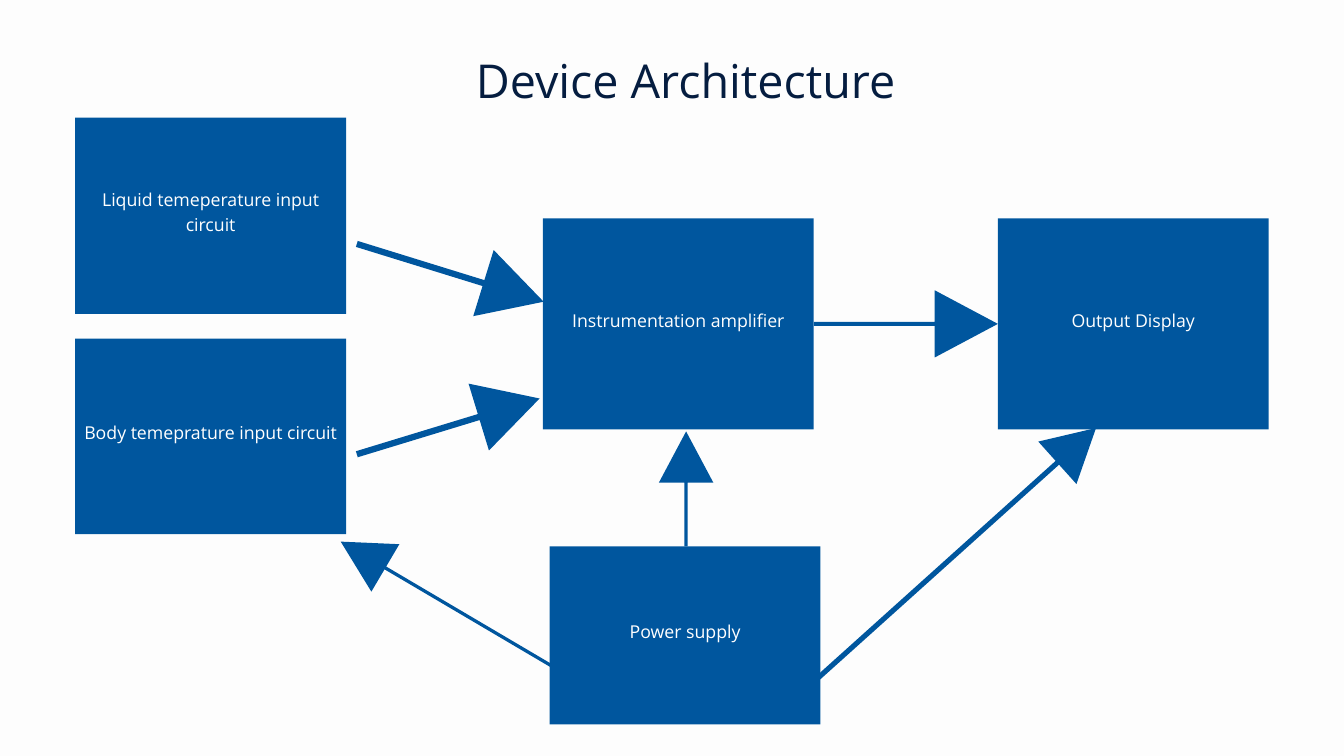
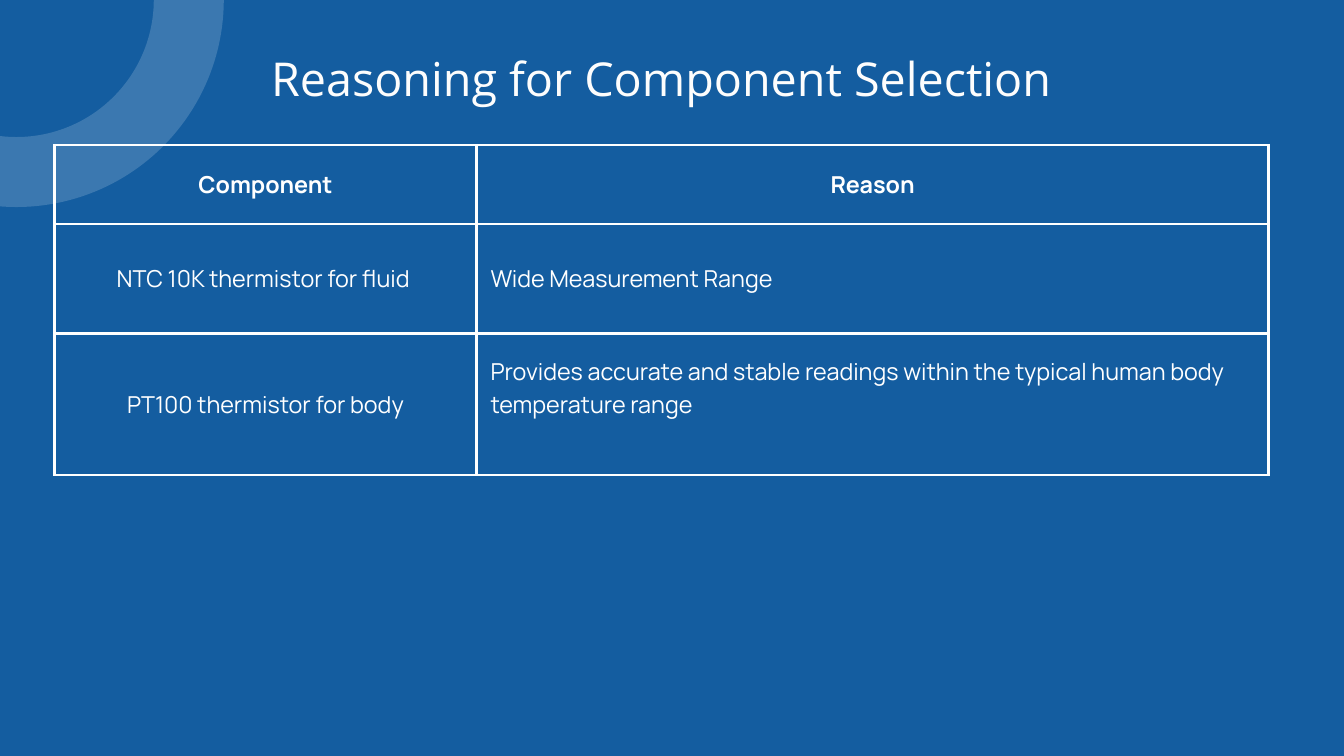
import math

from lxml import etree
from pptx import Presentation
from pptx.dml.color import RGBColor
from pptx.enum.shapes import MSO_SHAPE
from pptx.enum.text import MSO_ANCHOR, PP_ALIGN
from pptx.oxml.ns import qn
from pptx.util import Inches, Pt

CENTER, LEFT = PP_ALIGN.CENTER, PP_ALIGN.LEFT
MIDDLE = MSO_ANCHOR.MIDDLE
RECTANGLE, OVAL, RIGHT_ARROW = MSO_SHAPE.RECTANGLE, MSO_SHAPE.OVAL, MSO_SHAPE.RIGHT_ARROW

WHITE, PAPER, NAVY = "FFFFFF", "FDFDFD", "051D40"
BLOCK_BLUE, PAGE_BLUE = "00569E", "145DA0"

TITLE = {"name": "Open Sans", "size": Pt(50)}
BLOCK_LABEL = {"name": "Open Sans", "size": Pt(19)}
CELL = {"name": "Manrope", "size": Pt(25), "bold": False}
HEADER_CELL = {**CELL, "bold": True}

# Shaft thickness as a share of the arrow's height
THICK, THIN = 0.09, 0.06

BLOCK_WIDTH = 4.03
# Label, left, top, height
BLOCKS = [
    ("Liquid temeperature input circuit", 0, 0, 2.92),
    ("Body temeprature input circuit", 0, 3.29, 2.91),
    ("Instrumentation amplifier", 6.96, 1.5, 3.14),
    ("Output Display", 13.73, 1.5, 3.14),
    ("Power supply", 7.06, 6.38, 2.65),
]
# Tail, tip, height, shaft
ARROWS = [
    ((4.19, 1.88), (6.97, 2.74), 1.03, THICK),
    ((10.99, 3.07), (13.73, 3.07), 1, THIN),
    ((4.19, 5.01), (6.91, 4.18), 1.04, THICK),
    ((7.09, 8.16), (3.95, 6.31), 0.82, THIN),
    ((9.09, 6.38), (9.09, 4.67), 0.81, THIN),
    ((10.93, 8.45), (15.19, 4.62), 0.85, THICK),
]

COLUMN_WIDTHS = [6.28, 11.79]
ROW_HEIGHTS = [1.17, 1.63, 2.11]
COMPONENT_ROWS = [
    ("Component", "Reason"),
    ("NTC 10K thermistor for fluid ", "Wide Measurement Range"),
    ("PT100 thermistor for body",
     "Provides accurate and stable readings within the typical human body temperature range"),
]


def color(hex_string):
    return RGBColor.from_string(hex_string)


def set_attributes(target, values):
    for name, value in values.items():
        setattr(target, name, value)


def write_text(text_frame, text, font, font_color, spacing, alignment=CENTER):
    paragraph = text_frame.paragraphs[0]
    set_attributes(paragraph, {"alignment": alignment, "line_spacing": Pt(spacing)})
    run = paragraph.add_run()
    run.text = text
    set_attributes(run.font, font)
    run.font.color.rgb = color(font_color)


def set_margins(target, side, bottom):
    set_attributes(target, {
        "margin_left": Inches(side), "margin_right": Inches(side),
        "margin_top": Inches(side), "margin_bottom": Inches(bottom),
    })


def add_page(presentation, background):
    slide = presentation.slides.add_slide(presentation.slide_layouts[6])
    slide.background.fill.solid()
    slide.background.fill.fore_color.rgb = color(background)
    return slide


def add_title(slide, text, left, top, width, font_color):
    box = slide.shapes.add_textbox(Inches(left), Inches(top), Inches(width), Inches(0.94))
    box.text_frame.word_wrap = True
    set_margins(box.text_frame, 0, 0)
    write_text(box.text_frame, text, TITLE, font_color, 70)


def add_solid_shape(slide, kind, left, top, width, height):
    shape = slide.shapes.add_shape(
        kind, Inches(left), Inches(top), Inches(width), Inches(height))
    shape.shadow.inherit = False
    shape.fill.solid()
    shape.fill.fore_color.rgb = color(BLOCK_BLUE)
    shape.line.fill.background()
    return shape


def add_block(slide, label, left, top, height):
    block = add_solid_shape(slide, RECTANGLE, left, top, BLOCK_WIDTH, height)
    # The deeper bottom margin lifts the label slightly above the middle
    set_margins(block.text_frame, 0.06, 0.22)
    set_attributes(block.text_frame, {"word_wrap": True, "vertical_anchor": MIDDLE})
    write_text(block.text_frame, label, BLOCK_LABEL, WHITE, 26.6)


def add_block_arrow(slide, tail, tip, height, shaft):
    length = math.dist(tail, tip)
    center_x, center_y = [(start + end) / 2 for start, end in zip(tail, tip)]
    arrow = add_solid_shape(slide, RIGHT_ARROW, center_x - length / 2,
                            center_y - height / 2, length, height)
    arrow.rotation = math.degrees(math.atan2(tip[1] - tail[1], tip[0] - tail[0]))
    arrow.adjustments[0] = shaft
    arrow.adjustments[1] = 1 - shaft


def add_block_diagram(slide, left, top):
    for label, x, y, height in BLOCKS:
        add_block(slide, label, left + x, top + y, height)
    for tail, tip, height, shaft in ARROWS:
        start = (left + tail[0], top + tail[1])
        end = (left + tip[0], top + tip[1])
        add_block_arrow(slide, start, end, height, shaft)


def add_corner_ring(slide, left, top, diameter):
    ring = slide.shapes.add_shape(
        OVAL, Inches(left), Inches(top), Inches(diameter), Inches(diameter))
    ring.shadow.inherit = False
    ring.fill.background()
    ring.line.width = Pt(75)
    ring.line.color.rgb = color(WHITE)
    # 16 % opacity
    line_color = ring.line._ln.find(".//" + qn("a:srgbClr"))
    etree.SubElement(line_color, qn("a:alpha"), val="16000")


def add_cell_borders(cell, hex_string, points):
    properties = cell._tc.get_or_add_tcPr()
    for index, side in enumerate(("lnL", "lnR", "lnT", "lnB")):
        border = etree.Element(qn("a:" + side), w=str(Pt(points)))
        fill = etree.SubElement(border, qn("a:solidFill"))
        etree.SubElement(fill, qn("a:srgbClr"), val=hex_string)
        properties.insert(index, border)


def add_component_table(slide, left, top):
    frame = slide.shapes.add_table(
        len(ROW_HEIGHTS), len(COLUMN_WIDTHS), Inches(left), Inches(top),
        Inches(sum(COLUMN_WIDTHS)), Inches(sum(ROW_HEIGHTS)))
    table = frame.table
    set_attributes(table, {"first_row": False, "horz_banding": False})
    for column, width in zip(table.columns, COLUMN_WIDTHS):
        column.width = Inches(width)
    for row, height in zip(table.rows, ROW_HEIGHTS):
        row.height = Inches(height)

    for row_index, texts in enumerate(COMPONENT_ROWS):
        for column_index, text in enumerate(texts):
            cell = table.cell(row_index, column_index)
            is_header = row_index == 0
            alignment = CENTER if is_header or column_index == 0 else LEFT
            cell.fill.background()
            cell.vertical_anchor = MIDDLE
            set_margins(cell, 0.21, 0.21)
            write_text(cell.text_frame, text, HEADER_CELL if is_header else CELL,
                       WHITE, 35, alignment)
            add_cell_borders(cell, WHITE, 3)
    # The last reason sits one line above the bottom of its cell
    table.cell(2, 1).margin_bottom = Inches(0.7)


def build_architecture_slide(presentation):
    slide = add_page(presentation, PAPER)
    add_block_diagram(slide, 1.12, 1.75)
    add_title(slide, "Device Architecture", 6.54, 0.64, 7.33, NAVY)


def build_selection_slide(presentation):
    slide = add_page(presentation, PAGE_BLUE)
    add_corner_ring(slide, -2.32, -2.57, 5.13)
    add_component_table(slide, 0.81, 2.16)
    add_title(slide, "Reasoning for Component Selection", 3.21, 0.61, 13.27, PAPER)


def main():
    presentation = Presentation()
    presentation.slide_width = Inches(20)
    presentation.slide_height = Inches(11.25)
    build_architecture_slide(presentation)
    build_selection_slide(presentation)
    presentation.save("out.pptx")


if __name__ == "__main__":
    main()
